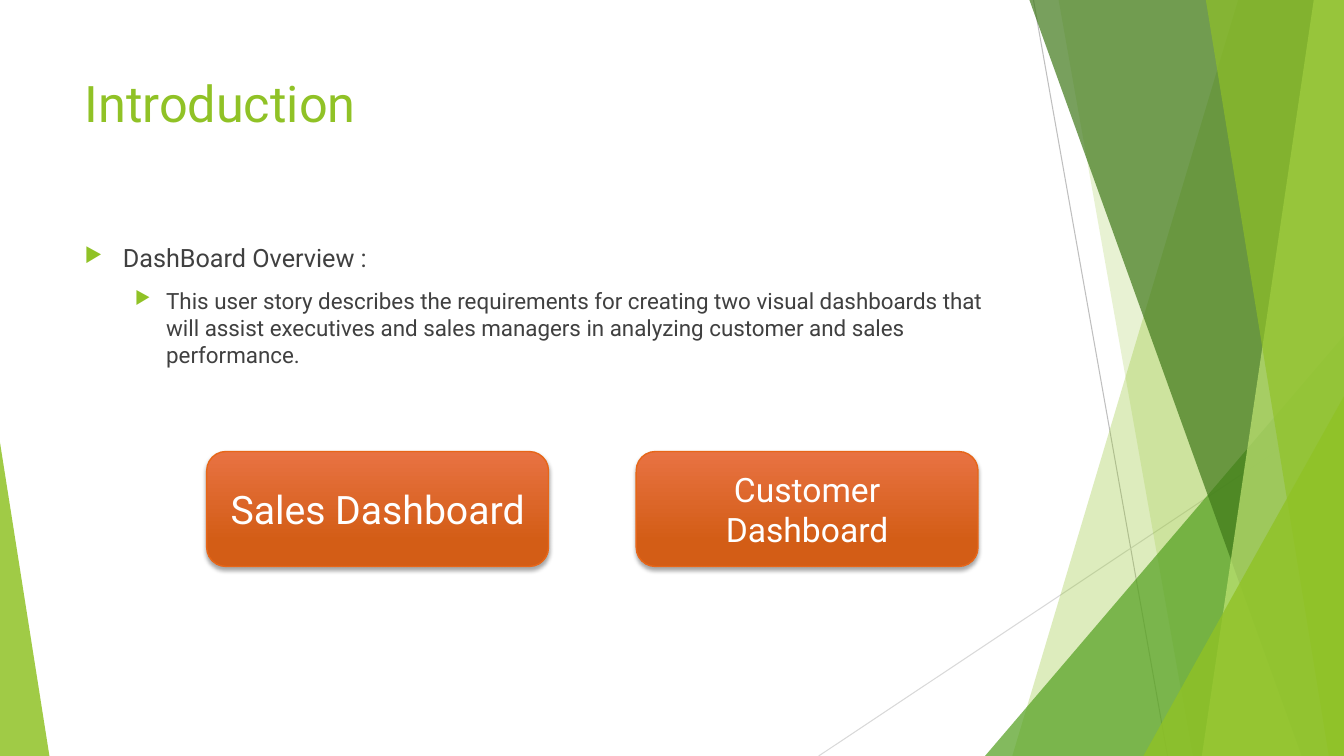
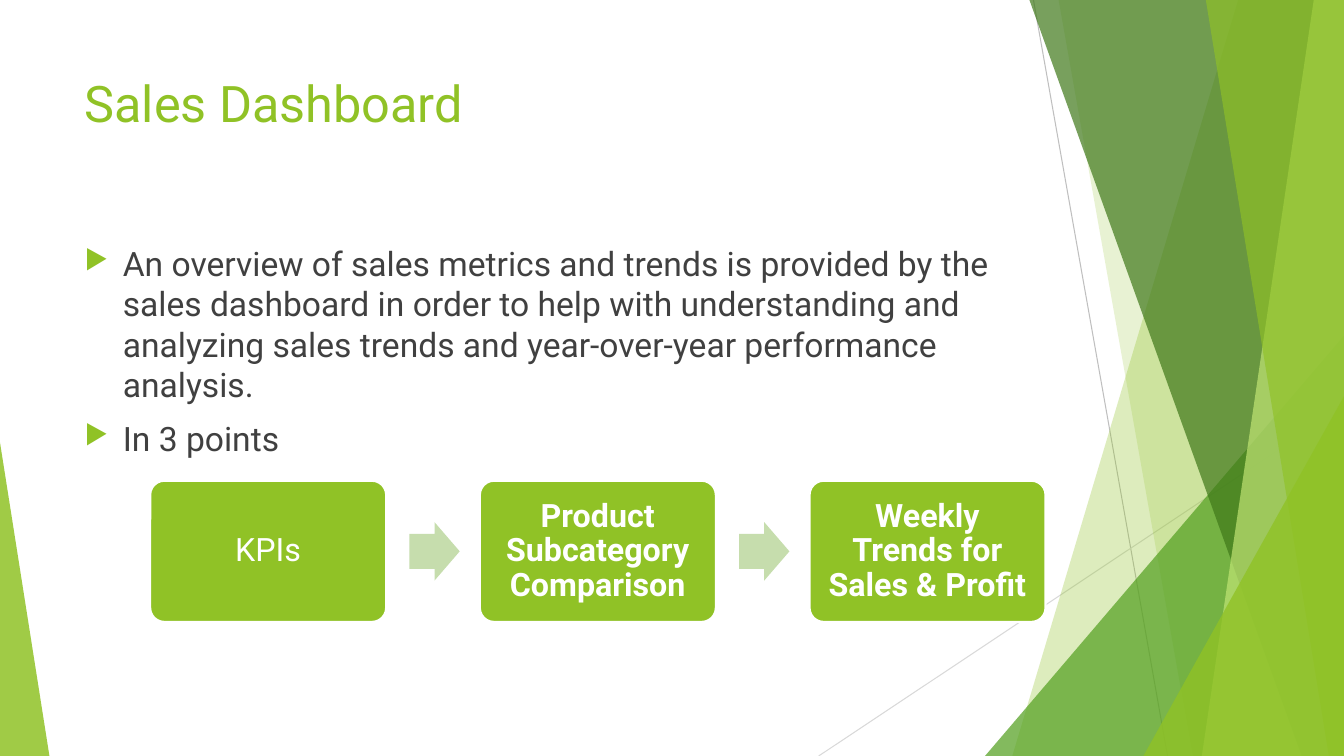
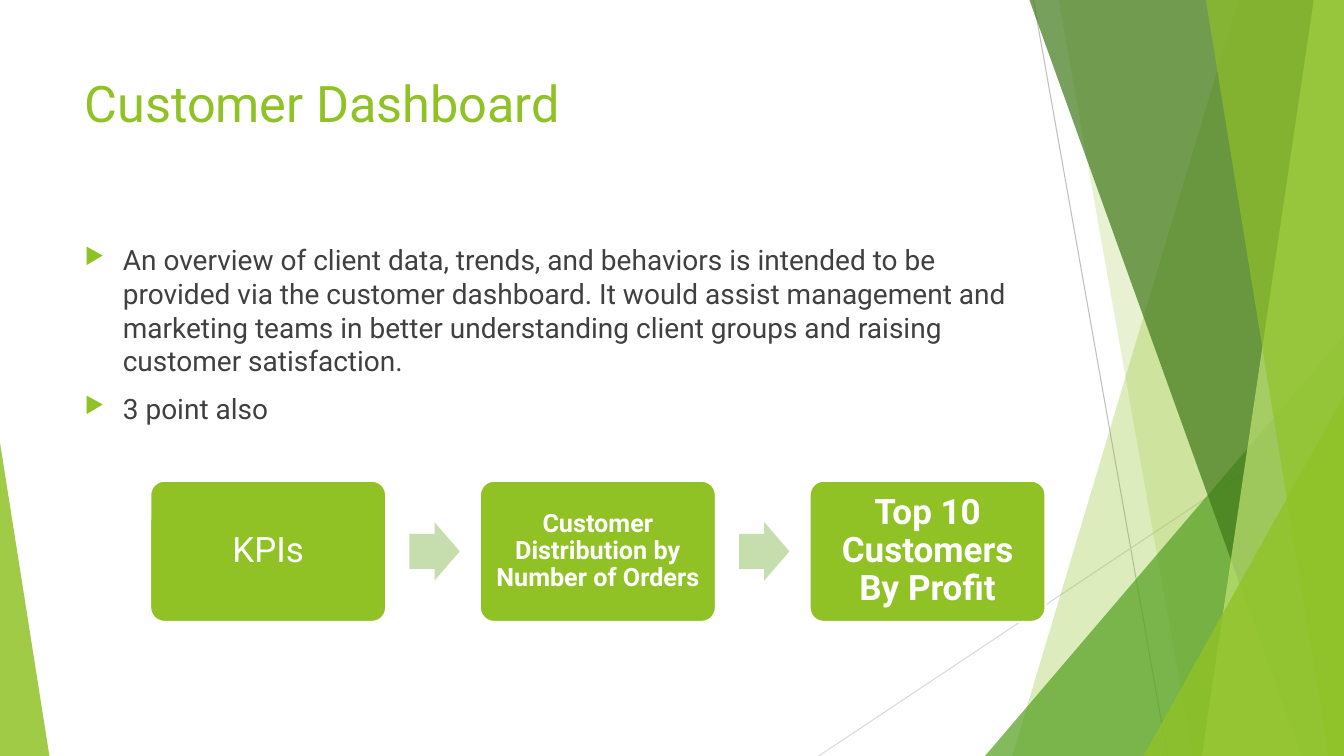
from typing import NamedTuple

from lxml.etree import SubElement
from pptx import Presentation
from pptx.dml.color import RGBColor
from pptx.enum.shapes import MSO_CONNECTOR as Connector, MSO_SHAPE as Preset
from pptx.enum.text import MSO_ANCHOR as Anchor, PP_ALIGN as Align
from pptx.oxml.ns import qn
from pptx.shapes.autoshape import Shape
from pptx.slide import Slide
from pptx.text.text import TextFrame, _Paragraph as Paragraph
from pptx.util import Inches, Pt

FONT = "Roboto"
COLORS = {
    "lime": "90C226",
    "green": "54A021",
    "forest": "3F7819",
    "pale_lime": "C0E474",
    "arrow": "C6DDAD",
    "text": "404040",
    "white": "FFFFFF",
    "gray": "BFBFBF",
    "light_gray": "D9D9D9",
    "orange_top": "E87242",
    "orange_bottom": "D35D16",
    "orange_edge": "E76618",
    "black": "000000",
}
SLIDE_W, SLIDE_H = 13.33, 7.5
TEXT_LEFT, TEXT_W = 0.74, 9.4

BUTTON_LEFT, BUTTON_TOP, BUTTON_W, BUTTON_H = 2.05, 4.48, 3.39, 1.14
BUTTON_PITCH = 4.26

STEP_LEFT, STEP_TOP, STEP_W, STEP_H = 1.49, 4.77, 2.34, 1.4
STEP_PITCH = 3.27
ARROW_W, ARROW_H = 0.5, 0.58
ARROW_OFFSET = 2.57


class Ray(NamedTuple):
    start: tuple[float, float]
    end: tuple[float, float]
    color: str


class Band(NamedTuple):
    """A full-height panel with a slanted left edge, reaching the right side."""
    top_x: float
    bottom_x: float
    color: str
    opacity: int


class Wedge(NamedTuple):
    """A right triangle on the bottom edge; peak is 0 at its left, 1 at its right."""
    left: float
    width: float
    height: float
    peak: int
    color: str
    opacity: int


class Bullet(NamedTuple):
    text: str
    size: int
    level: int = 0


class Label(NamedTuple):
    text: str
    size: int
    bold: bool = False
    inset: float = 0.1


class Topic(NamedTuple):
    title: str
    bullets: list[Bullet]
    buttons: list[Label] = []
    steps: list[Label] = []


RAYS = [
    Ray((10.25, 0), (11.58, SLIDE_H), "gray"),
    Ray((SLIDE_W, 4.03), (8.12, SLIDE_H), "light_gray"),
]
FACETS = [
    Band(12.28, 10.04, "lime", 30),
    Band(10.5, 11.83, "lime", 20),
    Wedge(9.77, 3.56, 4.17, 1, "green", 72),
    Band(10.21, 12.91, "forest", 70),
    Band(13.03, 11.92, "pale_lime", 70),
    Band(11.96, 13.18, "lime", 65),
    Wedge(11.34, 1.99, 3.57, 1, "lime", 80),
    Wedge(0, 0.49, 3.11, 0, "lime", 85),
]
BULLET_INDENTS = [(0.38, 0.38), (0.81, 0.31)]

TOPICS = [
    Topic(
        "Introduction",
        [
            Bullet("DashBoard Overview :", 18),
            Bullet("This user story describes the requirements for creating two "
                   "visual dashboards that will assist executives and sales "
                   "managers in analyzing customer and sales performance.", 16, 1),
        ],
        buttons=[Label("Sales Dashboard", 28), Label("Customer Dashboard", 24)],
    ),
    Topic(
        "Sales Dashboard",
        [
            Bullet("An overview of sales metrics and trends is provided by the sales "
                   "dashboard in order to help with understanding and analyzing sales "
                   "trends and year-over-year performance analysis.", 24),
            Bullet("In 3 points", 24),
        ],
        steps=[
            Label("KPIs", 23),
            Label("Product Subcategory Comparison", 23, True),
            Label("Weekly Trends for Sales & Profit", 23, True),
        ],
    ),
    Topic(
        "Customer Dashboard",
        [
            Bullet("An overview of client data, trends, and behaviors is intended to be "
                   "provided via the customer dashboard. It would assist management and "
                   "marketing teams in better understanding client groups and raising "
                   "customer satisfaction.", 20),
            Bullet("3 point also", 20),
        ],
        steps=[
            Label("KPIs", 25),
            Label("Customer Distribution by Number of Orders", 18, True, 0.07),
            Label("Top 10 Customers By Profit", 25, True),
        ],
    ),
]


def rgb(name: str) -> RGBColor:
    return RGBColor.from_string(COLORS[name])


def add_run(paragraph: Paragraph, text: str, size: float, color: str,
            bold: bool = False) -> None:
    run = paragraph.add_run()
    run.text = text
    run.font.name = FONT
    run.font.size = Pt(size)
    run.font.bold = bold
    run.font.color.rgb = rgb(color)


def paint(shape: Shape, color: str, opacity: int = 100) -> None:
    """Give a flat fill without outline or shadow."""
    shape.shadow.inherit = False
    shape.line.fill.background()
    shape.fill.solid()
    shape.fill.fore_color.rgb = rgb(color)
    if opacity < 100:
        tint = shape._element.spPr.find(qn("a:solidFill")).find(qn("a:srgbClr"))
        SubElement(tint, qn("a:alpha"), val=str(opacity * 1000))


def add_preset(slide: Slide, preset: Preset, left: float, top: float,
               width: float, height: float) -> Shape:
    return slide.shapes.add_shape(preset, Inches(left), Inches(top),
                                  Inches(width), Inches(height))


def add_text_area(slide: Slide, top: float, height: float) -> TextFrame:
    area = slide.shapes.add_textbox(Inches(TEXT_LEFT), Inches(top),
                                    Inches(TEXT_W), Inches(height))
    area.text_frame.word_wrap = True
    return area.text_frame


def draw_ray(slide: Slide, ray: Ray) -> None:
    line = slide.shapes.add_connector(
        Connector.STRAIGHT, *(Inches(value) for value in ray.start + ray.end))
    line.line.color.rgb = rgb(ray.color)
    line.line.width = Pt(0.75)
    SubElement(line._element.spPr, qn("a:effectLst"))


def draw_facet(slide: Slide, facet: Band | Wedge) -> None:
    if isinstance(facet, Band):
        outline = slide.shapes.build_freeform(Inches(facet.top_x), 0)
        corners = [(SLIDE_W, 0), (SLIDE_W, SLIDE_H), (facet.bottom_x, SLIDE_H)]
        outline.add_line_segments([(Inches(x), Inches(y)) for x, y in corners])
        shape = outline.convert_to_shape()
    else:
        shape = add_preset(slide, Preset.ISOSCELES_TRIANGLE, facet.left,
                           SLIDE_H - facet.height, facet.width, facet.height)
        shape.adjustments[0] = facet.peak
    paint(shape, facet.color, facet.opacity)


def draw_backdrop(slide: Slide) -> None:
    for ray in RAYS:
        draw_ray(slide, ray)
    for facet in FACETS:
        draw_facet(slide, facet)


def add_bullets(slide: Slide, bullets: list[Bullet]) -> None:
    body = add_text_area(slide, 2.36, 4.24)
    for index, bullet in enumerate(bullets):
        paragraph = body.add_paragraph() if index else body.paragraphs[0]
        paragraph.level = bullet.level
        paragraph.space_before = Pt(10)
        margin, hanging = BULLET_INDENTS[bullet.level]
        props = paragraph._p.get_or_add_pPr()
        props.set("marL", str(Inches(margin)))
        props.set("indent", str(-Inches(hanging)))
        marker_color = SubElement(props, qn("a:buClr"))
        SubElement(marker_color, qn("a:srgbClr"), val=COLORS["lime"])
        SubElement(props, qn("a:buSzPct"), val="80000")
        SubElement(props, qn("a:buChar"), char="▶")
        add_run(paragraph, bullet.text, bullet.size, "text")


def add_label(shape: Shape, label: Label) -> Paragraph:
    frame = shape.text_frame
    frame.word_wrap = True
    frame.vertical_anchor = Anchor.MIDDLE
    paragraph = frame.paragraphs[0]
    paragraph.alignment = Align.CENTER
    add_run(paragraph, label.text, label.size, "white", label.bold)
    return paragraph


def add_soft_shadow(shape: Shape) -> None:
    shape.shadow.inherit = False
    effects = shape._element.spPr.find(qn("a:effectLst"))
    shadow = SubElement(effects, qn("a:outerShdw"), blurRad=str(Pt(3)),
                        dist=str(Pt(2)), dir="5400000", rotWithShape="0")
    tint = SubElement(shadow, qn("a:srgbClr"), val=COLORS["black"])
    SubElement(tint, qn("a:alpha"), val="35000")


def add_button(slide: Slide, left: float, label: Label) -> None:
    button = add_preset(slide, Preset.ROUNDED_RECTANGLE, left, BUTTON_TOP,
                        BUTTON_W, BUTTON_H)
    button.fill.gradient()
    button.fill.gradient_angle = 270
    shades = [(0, "orange_top"), (0.78, "orange_bottom")]
    for stop, (position, color) in zip(button.fill.gradient_stops, shades):
        stop.position = position
        stop.color.rgb = rgb(color)
    button.line.color.rgb = rgb("orange_edge")
    button.line.width = Pt(1)
    add_soft_shadow(button)
    add_label(button, label)


def add_step(slide: Slide, left: float, label: Label) -> None:
    step = add_preset(slide, Preset.ROUNDED_RECTANGLE, left, STEP_TOP, STEP_W, STEP_H)
    step.adjustments[0] = 0.1
    paint(step, "lime")
    step.line.color.rgb = rgb("white")
    step.line.width = Pt(1.5)
    frame = step.text_frame
    frame.margin_left = frame.margin_right = Inches(label.inset)
    frame.margin_top = frame.margin_bottom = Inches(label.inset)
    add_label(step, label).line_spacing = 0.9


def add_process(slide: Slide, steps: list[Label]) -> None:
    for index, label in enumerate(steps):
        left = STEP_LEFT + index * STEP_PITCH
        add_step(slide, left, label)
        if index < len(steps) - 1:
            arrow = add_preset(slide, Preset.RIGHT_ARROW, left + ARROW_OFFSET,
                               STEP_TOP + (STEP_H - ARROW_H) / 2, ARROW_W, ARROW_H)
            arrow.adjustments[0] = 0.6
            arrow.adjustments[1] = 0.5
            paint(arrow, "arrow")


def add_topic(deck: Presentation, topic: Topic) -> None:
    slide = deck.slides.add_slide(deck.slide_layouts[6])
    draw_backdrop(slide)
    title = add_text_area(slide, 0.67, 1.44)
    add_run(title.paragraphs[0], topic.title, 36, "lime")
    add_bullets(slide, topic.bullets)
    for index, label in enumerate(topic.buttons):
        add_button(slide, BUTTON_LEFT + index * BUTTON_PITCH, label)
    add_process(slide, topic.steps)


def main() -> None:
    deck = Presentation()
    deck.slide_width = Inches(SLIDE_W)
    deck.slide_height = Inches(SLIDE_H)
    for topic in TOPICS:
        add_topic(deck, topic)
    deck.save("out.pptx")


if __name__ == "__main__":
    main()
